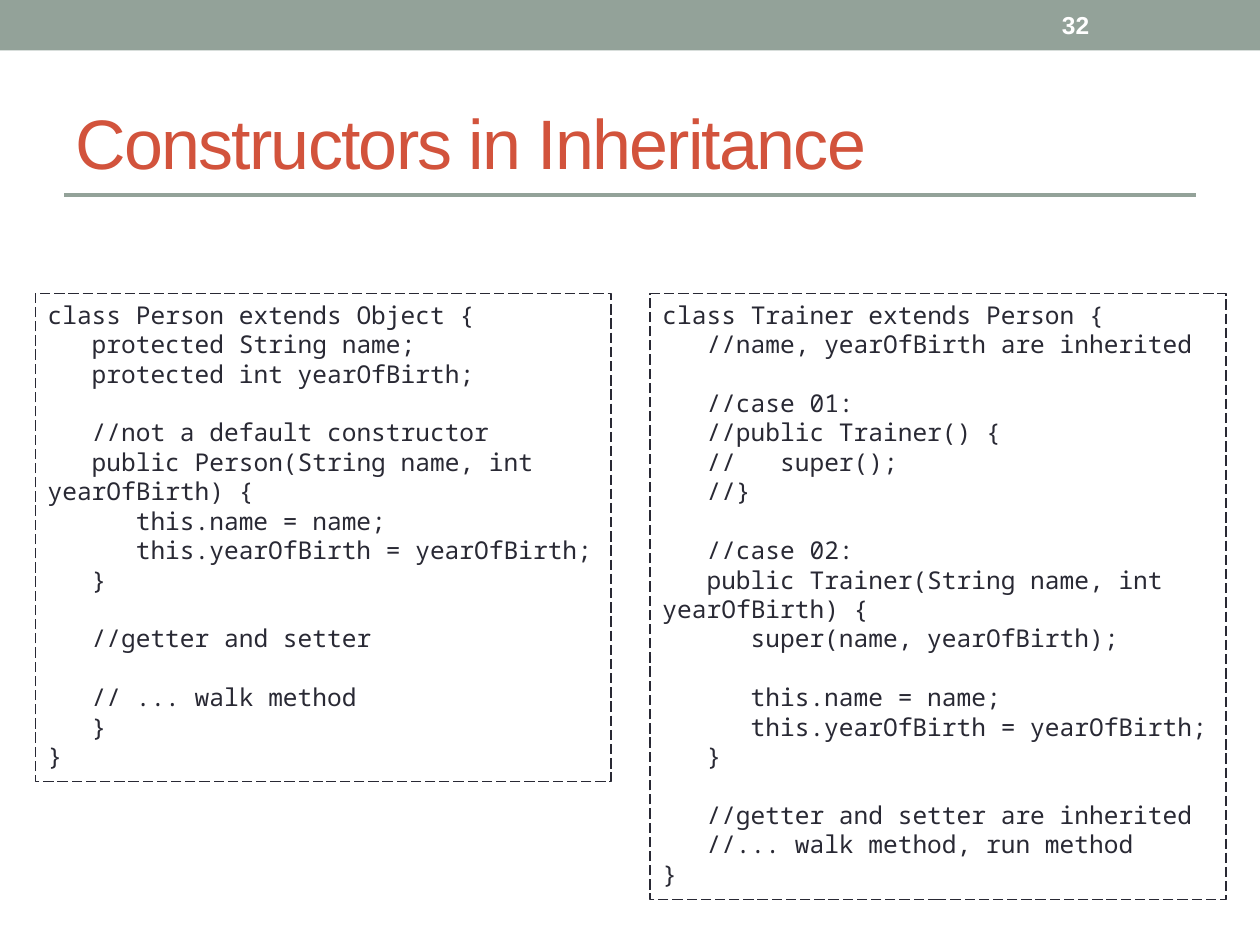
from dataclasses import dataclass

from lxml import etree
from pptx import Presentation
from pptx.dml.color import RGBColor
from pptx.enum.dml import MSO_LINE
from pptx.enum.shapes import MSO_CONNECTOR, MSO_SHAPE
from pptx.enum.text import MSO_ANCHOR, MSO_AUTO_SIZE, PP_ALIGN
from pptx.oxml.ns import qn
from pptx.util import Inches, Pt

RECTANGLE = MSO_SHAPE.RECTANGLE
STRAIGHT = MSO_CONNECTOR.STRAIGHT
LONG_DASH = MSO_LINE.LONG_DASH
TOP, MIDDLE = MSO_ANCHOR.TOP, MSO_ANCHOR.MIDDLE
LEFT = PP_ALIGN.LEFT
GROW = MSO_AUTO_SIZE.SHAPE_TO_FIT_TEXT


@dataclass(frozen=True)
class Theme:
    sage: RGBColor = RGBColor(0x93, 0xA2, 0x99)
    red: RGBColor = RGBColor(0xD2, 0x53, 0x3C)
    ink: RGBColor = RGBColor(0x29, 0x29, 0x34)
    white: RGBColor = RGBColor(0xFF, 0xFF, 0xFF)
    sans: str = "Arial"
    mono: str = "Noto Sans Mono"
    title_size: int = 40
    body_size: int = 14


theme = Theme()

deck = Presentation()
deck.slide_width, deck.slide_height = Inches(10), Inches(7.5)
page = deck.slides.add_slide(deck.slide_layouts[6])


def place(left, top, width, height):
    """Turn shares of the slide's size into lengths."""
    return (int(deck.slide_width * left), int(deck.slide_height * top),
            int(deck.slide_width * width), int(deck.slide_height * height))


def style(para, font, size, color, bold=False):
    para.alignment = LEFT
    for span in para.runs:
        span.font.name = font
        span.font.size = Pt(size)
        span.font.color.rgb = color
        span.font.bold = bold


# Header band and the rule under the title
band = page.shapes.add_shape(RECTANGLE, *place(0, 0, 1, 0.0533))
band.shadow.inherit = False
band.fill.solid()
band.fill.fore_color.rgb = theme.sage
band.line.fill.background()

rule_left, rule_y, rule_right, _ = place(0.051, 0.2067, 0.949, 0)
rule = page.shapes.add_connector(STRAIGHT, rule_left, rule_y, rule_right, rule_y)
rule.line.color.rgb = theme.sage
rule.line.width = Pt(2.5)
etree.SubElement(rule._element.spPr, qn("a:effectLst"))

# Title and page number
labels = [
    ("Constructors in Inheritance", (0.05, 0.0773, 0.9, 0.144),
     theme.title_size, theme.red, False, -100),
    ("32", (0.833, 0.0027, 0.117, 0.048),
     theme.body_size, theme.white, True, 0),
]
for text, area, size, color, bold, tracking in labels:
    box = page.shapes.add_textbox(*place(*area))
    frame = box.text_frame
    frame.word_wrap = True
    frame.vertical_anchor = MIDDLE
    frame.text = text
    para = frame.paragraphs[0]
    style(para, theme.sans, size, color, bold)
    para.runs[0].font._element.set("spc", str(tracking))

# Code panels: every line is (indent level, text), and a gap opens each group
person = [
    [(0, "class Person extends Object {"),
     (1, "protected String name;"),
     (1, "protected int yearOfBirth;")],
    [(1, "//not a default constructor"),
     (1, "public Person(String name, int yearOfBirth) {"),
     (2, "this.name = name;"),
     (2, "this.yearOfBirth = yearOfBirth;"),
     (1, "}")],
    [(1, "//getter and setter")],
    [(1, "// ... walk method"),
     (1, "}"),
     (0, "}")],
]
trainer = [
    [(0, "class Trainer extends Person {"),
     (1, "//name, yearOfBirth are inherited")],
    [(1, "//case 01:"),
     (1, "//public Trainer() {"),
     (1, "//   super();"),
     (1, "//}")],
    [(1, "//case 02:"),
     (1, "public Trainer(String name, int yearOfBirth) {"),
     (2, "super(name, yearOfBirth);")],
    [(2, "this.name = name;"),
     (2, "this.yearOfBirth = yearOfBirth;"),
     (1, "}")],
    [(1, "//getter and setter are inherited"),
     (1, "//... walk method, run method"),
     (0, "}")],
]

PANEL_LEFT, PANEL_TOP = 0.028, 0.3107
PANEL_WIDTH, PANEL_STEP = 0.457, 0.488
INDENT = Inches(0.35)
LINE_HEIGHT = Pt(16.8)

for column, (groups, height) in enumerate([(person, 0.516), (trainer, 0.6413)]):
    left = PANEL_LEFT + column * PANEL_STEP
    panel = page.shapes.add_shape(
        RECTANGLE, *place(left, PANEL_TOP, PANEL_WIDTH, height))
    panel.shadow.inherit = False
    panel.fill.background()
    panel.line.color.rgb = theme.ink
    panel.line.width = Pt(0.75)
    panel.line.dash_style = LONG_DASH

    frame = panel.text_frame
    frame.word_wrap = True
    frame.auto_size = GROW
    frame.vertical_anchor = TOP
    frame.text = "\n".join(text for group in groups for _, text in group)
    paragraphs = iter(frame.paragraphs)
    for group_index, group in enumerate(groups):
        for line_index, (level, _) in enumerate(group):
            para = next(paragraphs)
            style(para, theme.mono, theme.body_size, theme.ink)
            # Only the first line is indented; wrapped text returns to the margin
            properties = para._p.get_or_add_pPr()
            properties.set("marL", "0")
            properties.set("indent", str(level * INDENT))
            if group_index and line_index == 0:
                para.space_before = LINE_HEIGHT

deck.save("out.pptx")
